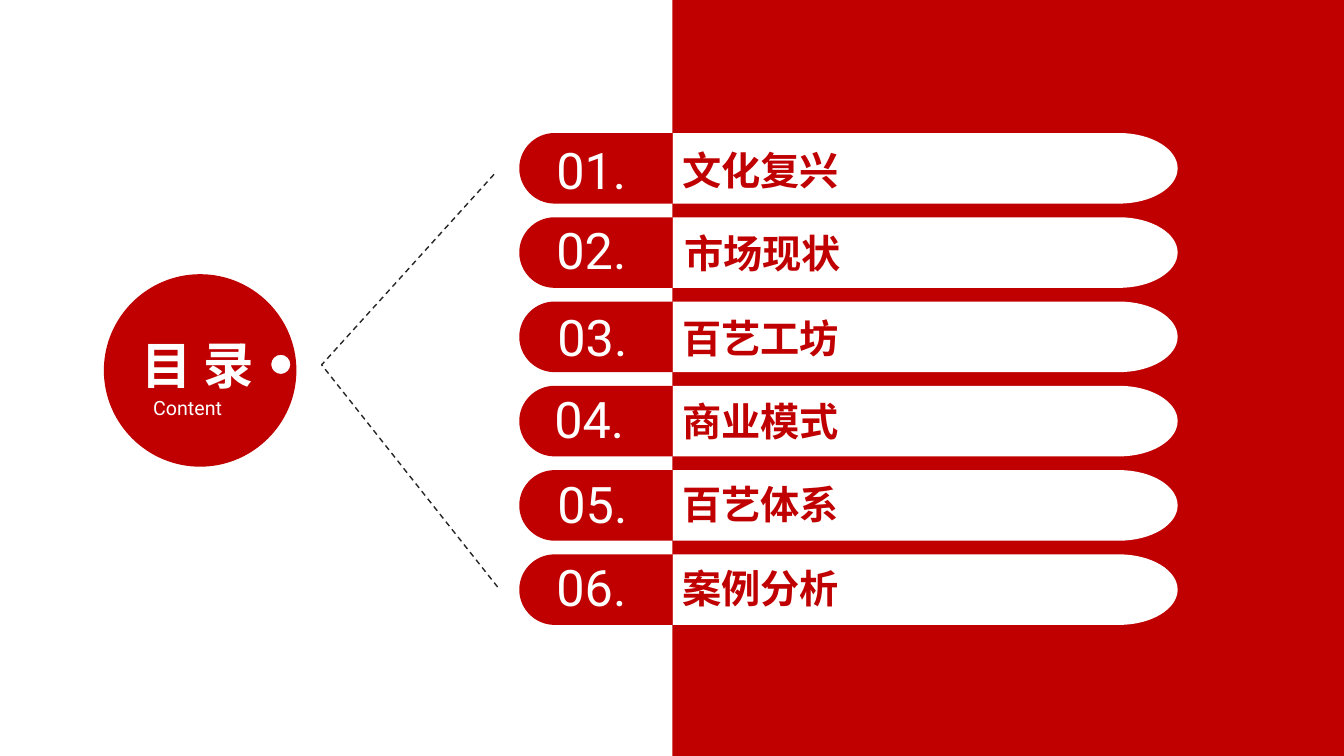
from lxml import etree
from pptx import Presentation
from pptx.dml.color import RGBColor
from pptx.enum import dml, shapes, text
from pptx.oxml.ns import qn
from pptx.util import Inches, Pt

COLORS = {"red": "C00000", "white": "FFFFFF", "dash": "262626"}
LATIN, CJK = "Roboto", "Noto Sans CJK SC"
MIDDLE, ROW_TOP, ROW_STEP, ROW_HEIGHT = 6.67, 1.32, 0.836, 0.7
QUARTERS = [
    (0.55, -1), (1, -0.55), (1, 0),
    (1, 0.55), (0.55, 1), (0, 1),
    (-0.55, 1), (-1, 0.55), (-1, 0),
    (-1, -0.55), (-0.55, -1), (0, -1),
]

prs = Presentation()
prs.slide_width, prs.slide_height = Inches(13.33), Inches(7.5)
slide = prs.slides.add_slide(prs.slide_layouts[6])


def paint(part, color):
    part.shadow.inherit = False
    part.fill.solid()
    part.fill.fore_color.rgb = RGBColor.from_string(COLORS[color])
    part.line.fill.background()


def write(wording, left, top, width, height, size, font, color, bold=False):
    box = slide.shapes.add_textbox(Inches(left), Inches(top), Inches(width), Inches(height))
    box.text_frame.word_wrap = True
    box.text_frame.auto_size = text.MSO_AUTO_SIZE.SHAPE_TO_FIT_TEXT
    paragraph = box.text_frame.paragraphs[0]
    paragraph.text = wording
    paragraph.font.size = Pt(size)
    paragraph.font.bold = bold
    paragraph.font.color.rgb = RGBColor.from_string(COLORS[color])
    paragraph.font.name = font
    defaults = paragraph._p.pPr.find(qn("a:defRPr"))
    etree.SubElement(defaults, qn("a:ea")).set("typeface", font)


red_half = slide.shapes.add_shape(
    shapes.MSO_SHAPE.RECTANGLE, Inches(MIDDLE), 0, Inches(6.66), Inches(7.5))
paint(red_half, "red")

disc = (1.985, 3.675, 0.955, 0.955, 4, [])
hole = (2.785, 3.615, 0.095, 0.095, 4, [])
outlines = [("red", [disc, hole])]
for center_x, radius_x, color in [(11.1, 0.58, "white"), (5.5, -0.35, "red")]:
    for row in range(6):
        top = ROW_TOP + row * ROW_STEP
        bottom = top + ROW_HEIGHT
        flat_side = [(MIDDLE, bottom), (MIDDLE, top)]
        radius = ROW_HEIGHT / 2
        outlines.append((color, [(center_x, top + radius, radius_x, radius, 2, flat_side)]))

for color, contours in outlines:
    builder = None
    for center_x, center_y, radius_x, radius_y, quarters, tail in contours:
        start = Inches(center_x), Inches(center_y - radius_y)
        if builder is None:
            builder = slide.shapes.build_freeform(*start)
        else:
            builder.move_to(*start)
        points = [(center_x + x * radius_x, center_y + y * radius_y)
                  for x, y in QUARTERS[:3 * quarters]] + tail
        builder.add_line_segments([(Inches(x), Inches(y)) for x, y in points])
    outline = builder.convert_to_shape()
    paint(outline, color)
    for contour, move in zip(contours, list(outline._element.iter(qn("a:moveTo")))):
        before = move
        for quarter in range(contour[4]):
            curve = etree.Element(qn("a:cubicBezTo"))
            before.addnext(curve)
            for step in range(3):
                line = curve.getnext()
                curve.append(line[0])
                line.getparent().remove(line)
            before = curve

write("Content", 1.42, 3.88, 1.51, 0.34, 14, LATIN, "white")
write("目 录", 1.31, 3.27, 1.91, 0.71, 36, CJK, "white", True)

builder = slide.shapes.build_freeform(Inches(4.9), Inches(1.73))
builder.add_line_segments(
    [(Inches(3.19), Inches(3.62)), (Inches(4.94), Inches(5.83))], close=False)
bracket = builder.convert_to_shape()
bracket.shadow.inherit = False
bracket.fill.background()
bracket.line.color.rgb = RGBColor.from_string(COLORS["dash"])
bracket.line.width = Pt(1)
bracket.line.dash_style = dml.MSO_LINE.DASH

chapters = [
    ("文化复兴", 6.67, 1.4, 4.51, 5.42, 1.33, 0.94),
    ("市场现状", 6.69, 2.23, 5.52, 5.42, 2.12, 1.09),
    ("百艺工坊", 6.67, 3.07, 5.54, 5.43, 2.99, 1.09),
    ("商业模式", 6.67, 3.89, 3.79, 5.4, 3.8, 1.09),
    ("百艺体系", 6.67, 4.72, 3.05, 5.43, 4.64, 1.09),
    ("案例分析", 6.67, 5.55, 3.05, 5.42, 5.47, 1.09),
]
for order, chapter in enumerate(chapters, 1):
    title, title_left, title_top, title_width, number_left, number_top, number_width = chapter
    write(f"{order:02d}.", number_left, number_top, number_width, 0.71, 36, LATIN, "white")
    write(title, title_left, title_top, title_width, 0.57, 28, CJK, "red", True)

prs.save("out.pptx")
